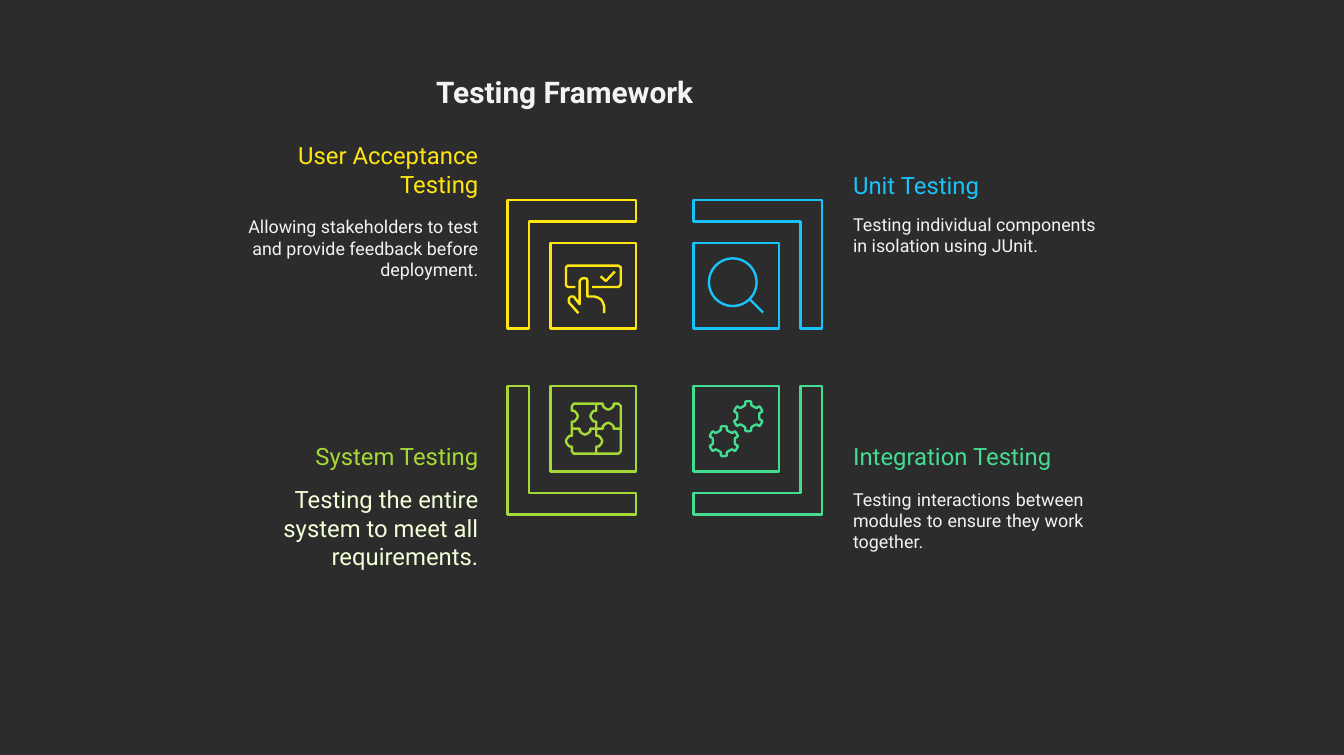
import math
import pptx
import pptx.dml.color
import pptx.enum.shapes
import pptx.enum.text
import pptx.oxml.ns
import pptx.util
from lxml import etree

ALIGN = pptx.enum.text.PP_ALIGN
RGB = pptx.dml.color.RGBColor.from_string
PX = 6350  # one px is half a point

THEME = {
    "font": "Roboto", "background": "2C2C2C", "text": "F3F3F3", "pale": "F2FFD7",
    "acceptance": "FFE611", "unit": "19C3FA", "system": "A5D937", "integration": "43DD92",
    "title_size": 25, "heading_size": 20, "body_size": 15, "line_width": 2,
}


def draw_outline(group, strokes, color, closed):
    """Draw point lists, given in px, as one unfilled shape."""
    builder = None
    for stroke in strokes:
        start, *rest = [(round(x * PX), round(y * PX)) for x, y in stroke]
        if builder is None:
            builder = group.shapes.build_freeform(*start, scale=1.0)
        else:
            builder.move_to(*start)
        builder.add_line_segments(rest, close=closed)
    shape = builder.convert_to_shape()
    shape.shadow.inherit = False
    shape.fill.background()
    shape.line.color.rgb = RGB(color)
    shape.line.width = pptx.util.Pt(THEME["line_width"])


def knob(x, y, along_x, along_y, side):
    """Points of a puzzle knob centred on an edge running along a direction."""
    profile = [(-9, 0), (-9, 4), (-6, 7), (-3, 9), (0, 10), (3, 9), (6, 7), (9, 4), (9, 0)]
    return [(x + run * along_x - side * rise * along_y,
             y + run * along_y + side * rise * along_x) for run, rise in profile]


deck = pptx.Presentation()
deck.slide_width, deck.slide_height = 2256 * PX, 1268 * PX
page = deck.slides.add_slide(deck.slide_layouts[6])
page.background.fill.solid()
page.background.fill.fore_color.rgb = RGB(THEME["background"])

# Texts: left, top, width, height, alignment, paragraphs (text, size, colour, gap before)
heading, body = THEME["heading_size"], THEME["body_size"]
texts = [
    (732, 124, 789, 62, ALIGN.LEFT,
     [("Testing Framework", THEME["title_size"], THEME["text"], 0)]),
    (412, 237, 391, 238, ALIGN.RIGHT,
     [("User Acceptance Testing", heading, THEME["acceptance"], 0),
      ("Allowing stakeholders to test and provide feedback before deployment.",
       body, THEME["text"], 15)]),
    (1432, 286, 411, 146, ALIGN.LEFT,
     [("Unit Testing", heading, THEME["unit"], 0),
      ("Testing individual components in isolation using JUnit.", body, THEME["text"], 12)]),
    (471, 742, 332, 218, ALIGN.RIGHT,
     [("System Testing", heading, THEME["system"], 0),
      ("Testing the entire system to meet all requirements.", heading, THEME["pale"], 12)]),
    (1432, 742, 387, 189, ALIGN.JUSTIFY,
     [("Integration Testing", heading, THEME["integration"], 0),
      ("Testing interactions between modules to ensure they work together.",
       body, THEME["text"], 15)]),
]
frame_format = {"word_wrap": True, "margin_left": 0, "margin_top": 0,
                "margin_right": 0, "margin_bottom": 0}
for left, top, width, height, alignment, paragraphs in texts:
    box = page.shapes.add_textbox(left * PX, top * PX, width * PX, height * PX)
    for name, value in frame_format.items():
        setattr(box.text_frame, name, value)
    for index, (text, size, color, gap) in enumerate(paragraphs):
        para = box.text_frame.add_paragraph() if index else box.text_frame.paragraphs[0]
        para.alignment = alignment
        if gap:
            para.space_before = pptx.util.Pt(gap)
        span = para.add_run()
        span.text = text
        font_format = {"name": THEME["font"], "size": pptx.util.Pt(size),
                       "bold": size == THEME["title_size"]}
        for name, value in font_format.items():
            setattr(span.font, name, value)
        span.font.color.rgb = RGB(color)

# Quadrants: a square and a bracket, mirrored outwards from the inner corner
square = [(0, 0), (144, 0), (144, 144), (0, 144)]
bracket = [(216, 216), (0, 216), (0, 180), (180, 180), (180, 0), (216, 0)]
quadrants = {"acceptance": (1068, 552, -1, -1), "unit": (1164, 552, 1, -1),
             "system": (1068, 648, -1, 1), "integration": (1164, 648, 1, 1)}
groups = {}
for name, (x, y, side_x, side_y) in quadrants.items():
    groups[name] = page.shapes.add_group_shape()
    for corners in (square, bracket):
        points = [(x + side_x * dx, y + side_y * dy) for dx, dy in corners]
        draw_outline(groups[name], [points], THEME[name], True)

# Hand pressing a button with a check mark
button = [(966, 482), (953, 482), (950, 479), (950, 449), (953, 446), (1038, 446),
          (1042, 449), (1042, 478), (1038, 482), (994, 482)]
check = [(1032, 456), (1017, 472), (1008, 464)]
hand = [(971, 526), (955, 508), (955, 501), (958, 498), (963, 498), (973, 511),
        (973, 472), (976, 468), (981, 467), (985, 468), (986, 472), (986, 498),
        (998, 498), (1004, 500), (1009, 503), (1012, 508), (1014, 514), (1014, 526)]
draw_outline(groups["acceptance"], [button, check, hand], THEME["acceptance"], False)

# Magnifying glass
lens = groups["unit"].shapes.add_shape(
    pptx.enum.shapes.MSO_SHAPE.OVAL, 1190 * PX, 434 * PX, 80 * PX, 80 * PX)
lens.shadow.inherit = False
lens.fill.background()
handle = groups["unit"].shapes.add_connector(
    pptx.enum.shapes.MSO_CONNECTOR.STRAIGHT, 1259 * PX, 503 * PX, 1281 * PX, 525 * PX)
etree.SubElement(handle._element.spPr, pptx.oxml.ns.qn("a:effectLst"))
for part in (lens, handle):
    part.line.color.rgb = RGB(THEME["unit"])
    part.line.width = pptx.util.Pt(THEME["line_width"])

# Puzzle: rim, then the two seams
rim = [(963, 678), *knob(1021, 678, 1, 0, 1), (1038, 678), (1042, 682), (1042, 758),
       (1038, 762), (963, 762), (960, 758), *knob(960, 741, 0, -1, -1),
       *knob(960, 699, 0, -1, 1), (960, 682)]
across = [(960, 720), *knob(982, 720, 1, 0, 1), *knob(1021, 720, 1, 0, -1), (1042, 720)]
down = [(1001, 678), *knob(1001, 699, 0, 1, 1), *knob(1001, 741, 0, 1, -1), (1001, 762)]
draw_outline(groups["system"], [rim], THEME["system"], True)
draw_outline(groups["system"], [across, down], THEME["system"], False)

# Gears: one tooth turned six times
tooth = [(-6, -18), (-5, -19), (-5, -24), (-3, -25), (3, -25),
         (5, -24), (5, -19), (6, -18), (9, -16)]
for center_x, center_y in ((1215, 741), (1256, 699)):
    gear = []
    for turn in range(6):
        cos, sin = math.cos(turn * math.pi / 3), math.sin(turn * math.pi / 3)
        gear += [(center_x + x * cos - y * sin, center_y + x * sin + y * cos) for x, y in tooth]
    draw_outline(groups["integration"], [gear], THEME["integration"], True)

deck.save("out.pptx")
